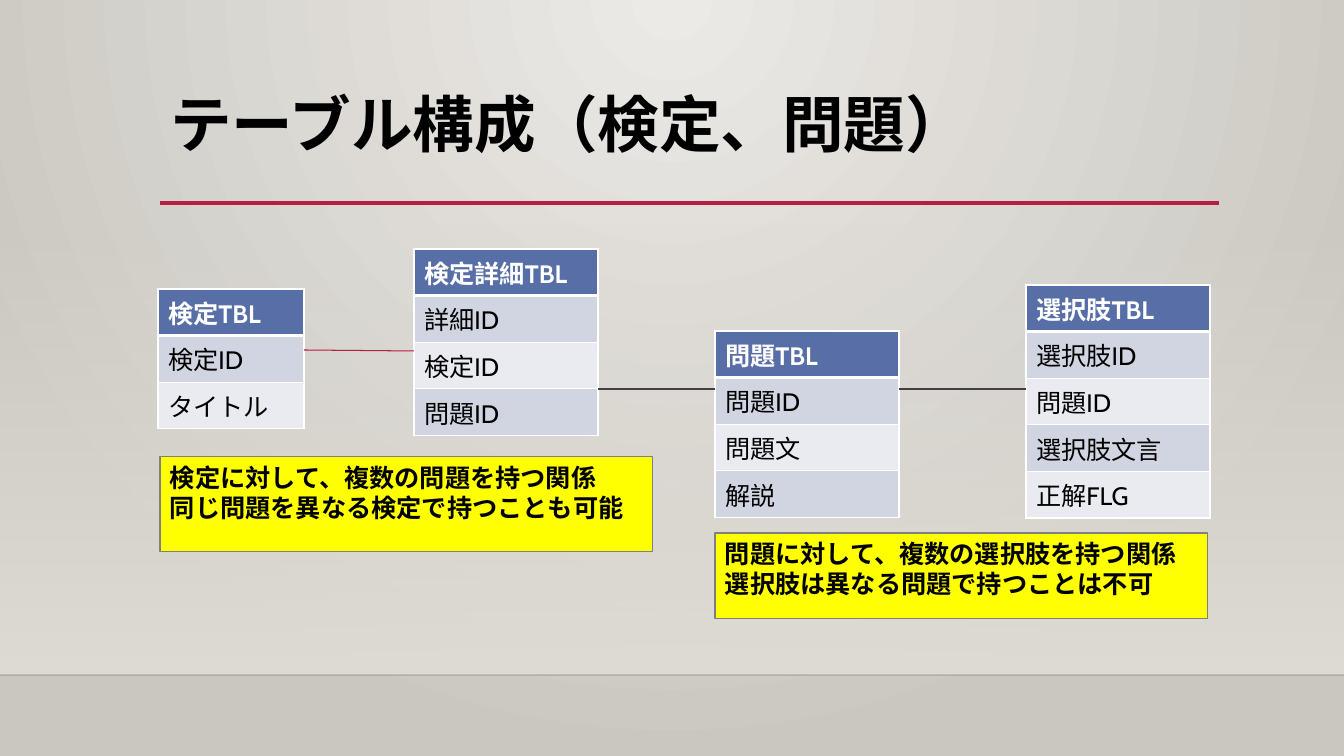
from dataclasses import dataclass

from lxml.etree import SubElement
from pptx import Presentation
from pptx.dml.color import RGBColor
from pptx.enum.shapes import MSO_CONNECTOR as Connector, MSO_SHAPE as Shape
from pptx.enum.text import MSO_ANCHOR as Anchor, MSO_AUTO_SIZE as AutoSize, PP_ALIGN as Align
from pptx.oxml.ns import qn
from pptx.slide import Slide
from pptx.util import Emu, Pt

FONT = "Cabin"
BLACK, WHITE, CRIMSON, GRAY = "000000", "FFFFFF", "B71E42", "404040"
HEADER_BLUE, BANDS = "586EA6", ("D1D5E1", "EAEBF1")
YELLOW, NOTE_EDGE, FLOOR = "FFFF00", "808080", "DFDBD5"
SLIDE_W, SLIDE_H, HORIZON_Y = 1344, 756, 675
ROW_H = 41


@dataclass(frozen=True)
class Entity:
    left: int
    top: int
    width: int
    title: str
    fields: tuple[str, ...]
    header_h: int = ROW_H


@dataclass(frozen=True)
class Rule:
    start: tuple[int, int]
    end: tuple[int, int]
    color: str
    weight: float = 0.75
    opacity: int = 100


@dataclass(frozen=True)
class Note:
    left: int
    top: int
    width: int
    height: int
    lines: tuple[str, ...]


ENTITIES = (
    Entity(414, 249, 184, "検定詳細TBL", ("詳細ID", "検定ID", "問題ID")),
    Entity(158, 289, 146, "検定TBL", ("検定ID", "タイトル")),
    Entity(715, 331, 184, "問題TBL", ("問題ID", "問題文", "解説")),
    Entity(1026, 285, 184, "選択肢TBL", ("選択肢ID", "問題ID", "選択肢文言", "正解FLG"), 45),
)
FRAME_RULES = (
    Rule((0, HORIZON_Y), (SLIDE_W, HORIZON_Y), "000001", 1, 20),
    Rule((160, 203), (1219, 203), CRIMSON, 2.5),
)
RELATIONS = (
    Rule((304, 350), (414, 351), CRIMSON),
    Rule((598, 389), (715, 389), GRAY),
    Rule((899, 389), (1026, 389), GRAY),
)
NOTES = (
    Note(715, 533, 493, 86, ("問題に対して、複数の選択肢を持つ関係", "選択肢は異なる問題で持つことは不可")),
    Note(160, 457, 493, 95, ("検定に対して、複数の問題を持つ関係", "同じ問題を異なる検定で持つことも可能")),
)


def px(length: int) -> Emu:
    return Emu(round(length * 12192000 / SLIDE_W))


def rgb(color: str) -> RGBColor:
    return RGBColor.from_string(color)


def set_opacity(color_element, percent: int) -> None:
    SubElement(color_element, qn("a:alpha"), val=str(percent * 1000))


def write(paragraph, text: str, size: int, color: str, bold: bool) -> None:
    paragraph.alignment = Align.LEFT
    run = paragraph.add_run()
    run.text = text
    font = run.font
    font.name, font.size, font.bold = FONT, Pt(size), bold
    font.color.rgb = rgb(color)


def set_gradient(fill, colors: tuple[str, str]) -> None:
    fill.gradient()
    for stop, color, position in zip(fill.gradient_stops, colors, (0, 1)):
        stop.color.rgb = rgb(color)
        stop.position = position


def paint_background(slide: Slide) -> None:
    """Radial glow from the top centre."""
    set_gradient(slide.background.fill, ("ECEAE7", "CAC7C1"))
    gradient = slide.element.find(".//" + qn("a:gradFill"))
    gradient.remove(gradient.find(qn("a:lin")))
    glow = SubElement(gradient, qn("a:path"), {"path": "circle"})
    SubElement(glow, qn("a:fillToRect"), l="43000", r="43000", b="100000")


def add_wall(slide: Slide) -> None:
    """Fade that ends at the horizon line."""
    top = 223
    wall = slide.shapes.add_shape(Shape.RECTANGLE, 0, px(top), px(SLIDE_W), px(HORIZON_Y - top))
    wall.shadow.inherit = False
    wall.line.fill.background()
    set_gradient(wall.fill, (FLOOR, FLOOR))
    wall.fill.gradient_angle = 270
    set_opacity(wall.element.find(".//" + qn("a:srgbClr")), 0)


def add_rule(slide: Slide, rule: Rule) -> None:
    points = map(px, (*rule.start, *rule.end))
    connector = slide.shapes.add_connector(Connector.STRAIGHT, *points)
    connector.line.color.rgb = rgb(rule.color)
    connector.line.width = Pt(rule.weight)
    properties = connector.element.spPr
    if rule.opacity < 100:
        set_opacity(properties.find(".//" + qn("a:srgbClr")), rule.opacity)
    SubElement(properties, qn("a:effectLst"))


def add_title(slide: Slide, text: str) -> None:
    title = slide.shapes.title
    title.left, title.top, title.width, title.height = map(px, (160, 89, 1058, 116))
    frame = title.text_frame
    frame.auto_size, frame.vertical_anchor = AutoSize.NONE, Anchor.TOP
    frame.paragraphs[0].line_spacing = 0.9
    write(frame.paragraphs[0], text, 44, BLACK, True)


def set_borders(cell, top: int, bottom: int) -> None:
    properties = cell._tc.get_or_add_tcPr()
    for side, weight in (("L", 1), ("R", 1), ("T", top), ("B", bottom)):
        border = SubElement(properties, qn(f"a:ln{side}"), w=str(Pt(weight)))
        SubElement(SubElement(border, qn("a:solidFill")), qn("a:srgbClr"), val=WHITE)


def add_entity(slide: Slide, entity: Entity) -> None:
    heights = (entity.header_h, *(ROW_H for _ in entity.fields))
    box = map(px, (entity.left, entity.top, entity.width, sum(heights)))
    table = slide.shapes.add_table(len(heights), 1, *box).table
    for index, text in enumerate((entity.title, *entity.fields)):
        header = index == 0
        table.rows[index].height = px(heights[index])
        cell = table.cell(index, 0)
        set_borders(cell, 3 if index == 1 else 1, 3 if header else 1)
        cell.fill.solid()
        cell.fill.fore_color.rgb = rgb(HEADER_BLUE if header else BANDS[(index - 1) % 2])
        write(cell.text_frame.paragraphs[0], text, 18, WHITE if header else BLACK, header)


def add_note(slide: Slide, note: Note) -> None:
    box = map(px, (note.left, note.top, note.width, note.height))
    panel = slide.shapes.add_shape(Shape.RECTANGLE, *box)
    panel.shadow.inherit = False
    panel.fill.solid()
    panel.fill.fore_color.rgb = rgb(YELLOW)
    panel.line.color.rgb = rgb(NOTE_EDGE)
    panel.line.width = Pt(0.75)
    frame = panel.text_frame
    frame.word_wrap, frame.vertical_anchor = True, Anchor.TOP
    for index, text in enumerate(note.lines):
        paragraph = frame.add_paragraph() if index else frame.paragraphs[0]
        write(paragraph, text, 18, BLACK, True)


def main() -> None:
    deck = Presentation()
    deck.slide_width, deck.slide_height = px(SLIDE_W), px(SLIDE_H)
    slide = deck.slides.add_slide(deck.slide_layouts.get_by_name("Title Only"))
    paint_background(slide)
    add_wall(slide)
    for rule in FRAME_RULES:
        add_rule(slide, rule)
    add_title(slide, "テーブル構成（検定、問題）")
    for entity in ENTITIES:
        add_entity(slide, entity)
    for relation in RELATIONS:
        add_rule(slide, relation)
    for note in NOTES:
        add_note(slide, note)
    deck.save("out.pptx")


if __name__ == "__main__":
    main()
